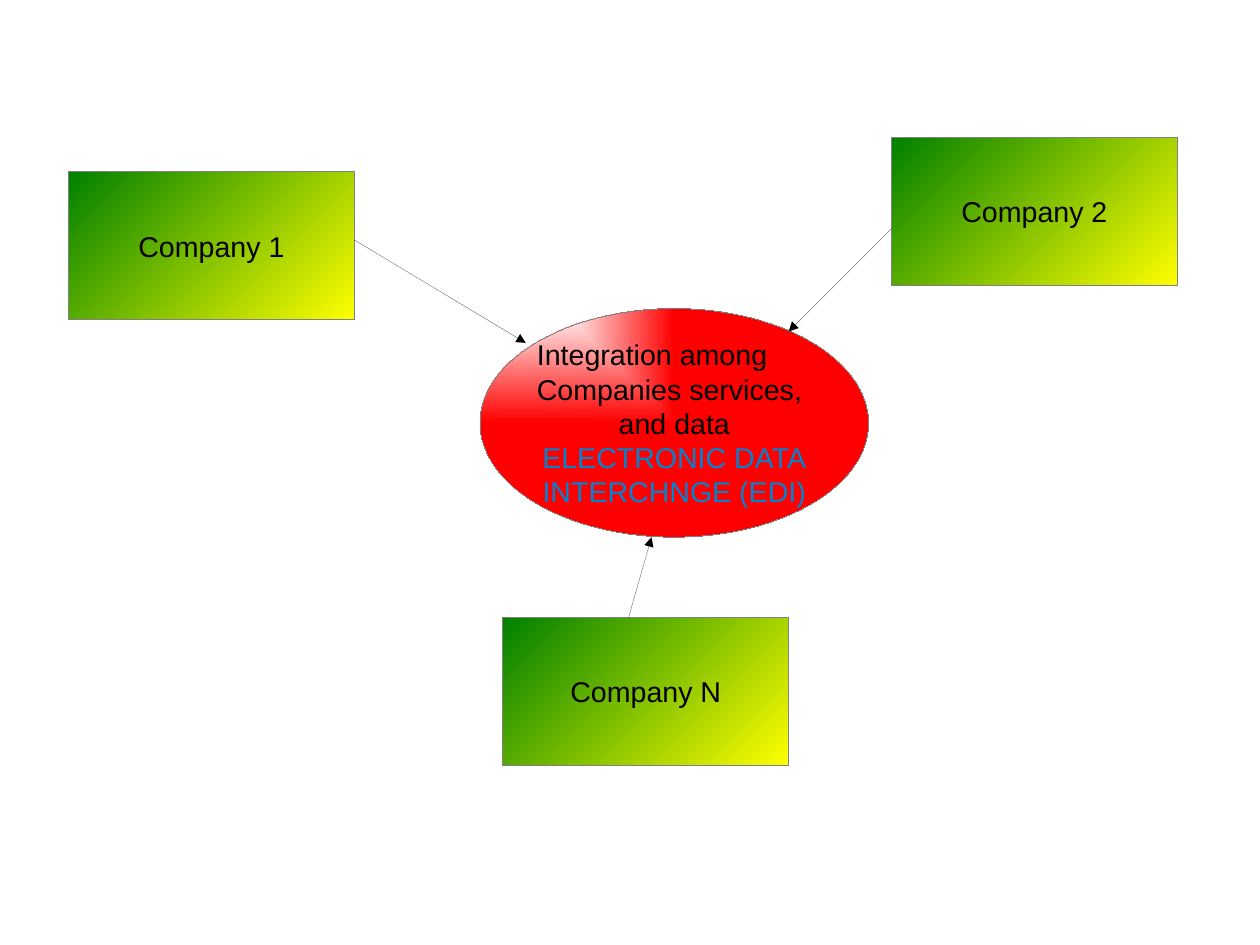
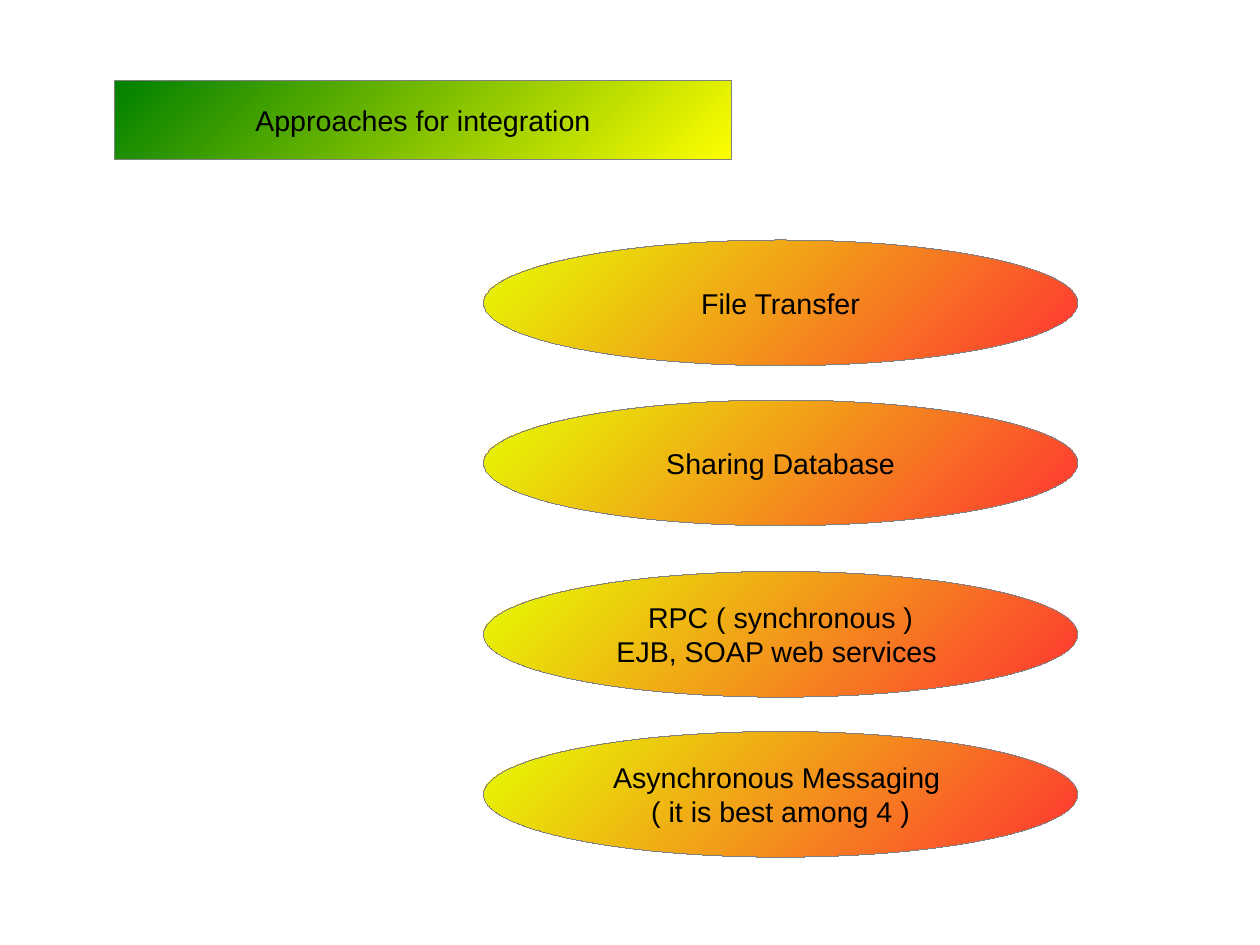
"""Build two slides on integration among companies."""
from lxml.etree import SubElement
from pptx import Presentation
from pptx.dml.color import RGBColor
from pptx.enum.shapes import MSO_CONNECTOR, MSO_SHAPE
from pptx.enum.text import MSO_ANCHOR, MSO_AUTO_SIZE, PP_ALIGN
from pptx.oxml.ns import qn
from pptx.util import Pt

HUES = {
    "ink": "000000", "edge": "808080", "blue": "0084D1",
    "green": "008000", "yellow": "FFFF00",
    "lime": "E6FF00", "coral": "FF3333",
    "white": "FFFFFF", "red": "FF0000",
}


def tint(name):
    return RGBColor.from_string(HUES[name])


def write(frame, text, hue="ink", size=18, font="Arial", align=PP_ALIGN.CENTER, more=False):
    for row, line in enumerate(text.split("\n")):
        para = frame.add_paragraph() if more or row else frame.paragraphs[0]
        para.alignment = align
        run = para.add_run()
        run.text = line
        run.font.size = Pt(size)
        run.font.name = font
        run.font.color.rgb = tint(hue)


class Deck:
    """Hold the shared style and the current slide."""

    firm = ("green", "yellow", "circle")
    way = ("lime", "coral", "circle")
    hub = ("white", "red", "rect")

    def __init__(self, wide, high):
        self.show = Presentation()
        self.show.slide_width, self.show.slide_height = Pt(wide), Pt(high)

    def page(self, layout):
        self.slide = self.show.slides.add_slide(self.show.slide_layouts[layout])

    def trace(self, shape, hue):
        for theme in shape._element.findall(qn("p:style")):
            shape._element.remove(theme)
        shape.line.color.rgb = tint(hue)

    def style(self, shape, look, wrap=False, pad=7.2):
        start, end, form = look
        shape.shadow.inherit = False
        shape.fill.gradient()
        for stop, hue in zip(shape.fill.gradient_stops, (start, end)):
            stop.color.rgb = tint(hue)
        grad = shape._element.spPr.find(qn("a:gradFill"))
        grad.remove(grad.find(qn("a:lin")))
        track = SubElement(grad, qn("a:path"), {"path": form})
        SubElement(track, qn("a:fillToRect"), l="0", t="0", r="100000", b="100000")
        self.trace(shape, "edge")
        frame = shape.text_frame
        frame.auto_size = MSO_AUTO_SIZE.NONE
        frame.word_wrap = wrap
        frame.vertical_anchor = MSO_ANCHOR.MIDDLE
        frame.margin_left = frame.margin_right = Pt(pad)
        frame.margin_top = frame.margin_bottom = Pt(3.6)
        return frame

    def title(self, text, x, y, w, h):
        head = self.slide.shapes.title
        head.left, head.top, head.width, head.height = map(Pt, (x, y, w, h))
        write(self.style(head, self.firm), text)

    def node(self, kind, look, x, y, w, h, **opts):
        shape = self.slide.shapes.add_shape(kind, *map(Pt, (x, y, w, h)))
        return self.style(shape, look, **opts)

    def box(self, text, x, y):
        write(self.node(MSO_SHAPE.RECTANGLE, self.firm, x, y, 180, 93.6), text)

    def oval(self, text, y):
        write(self.node(MSO_SHAPE.OVAL, self.way, 304.56, y, 374.4, 79.2), text)

    def core(self, x, y, w, h):
        frame = self.node(MSO_SHAPE.OVAL, self.hub, x, y, w, h, wrap=True, pad=0)
        write(frame, "Integration among\nCompanies services,", align=PP_ALIGN.LEFT)
        write(frame, "and data", more=True)
        write(frame, "ELECTRONIC DATA\nINTERCHNGE (EDI)", hue="blue", more=True)

    def arrow(self, *ends):
        link = self.slide.shapes.add_connector(MSO_CONNECTOR.STRAIGHT, *map(Pt, ends))
        self.trace(link, "ink")
        SubElement(link._element.spPr.find(qn("a:ln")), qn("a:tailEnd"), type="triangle")
        SubElement(link._element.spPr, qn("a:effectLst"))


deck = Deck(793.7, 595.28)

deck.page(6)
for name, x, y in (("1", 43.2, 108), ("2", 561.6, 86.4), ("N", 316.8, 388.8)):
    deck.box(f"Company {name}", x, y)
deck.core(302.4, 194.4, 244.8, 144)
for ends in ((223.2, 151.2, 331.2, 216), (561.6, 144, 496.8, 208.8), (396, 388.8, 410.4, 338.4)):
    deck.arrow(*ends)

deck.page(5)
deck.title("Approaches for integration", 72, 50.4, 388.8, 50.4)
for y, text in (
    (151.2, "File Transfer"),
    (252, "Sharing Database"),
    (360, "RPC ( synchronous )\nEJB, SOAP web services "),
    (460.8, "Asynchronous Messaging \n( it is best among 4 )"),
):
    deck.oval(text, y)

deck.show.save("out.pptx")
